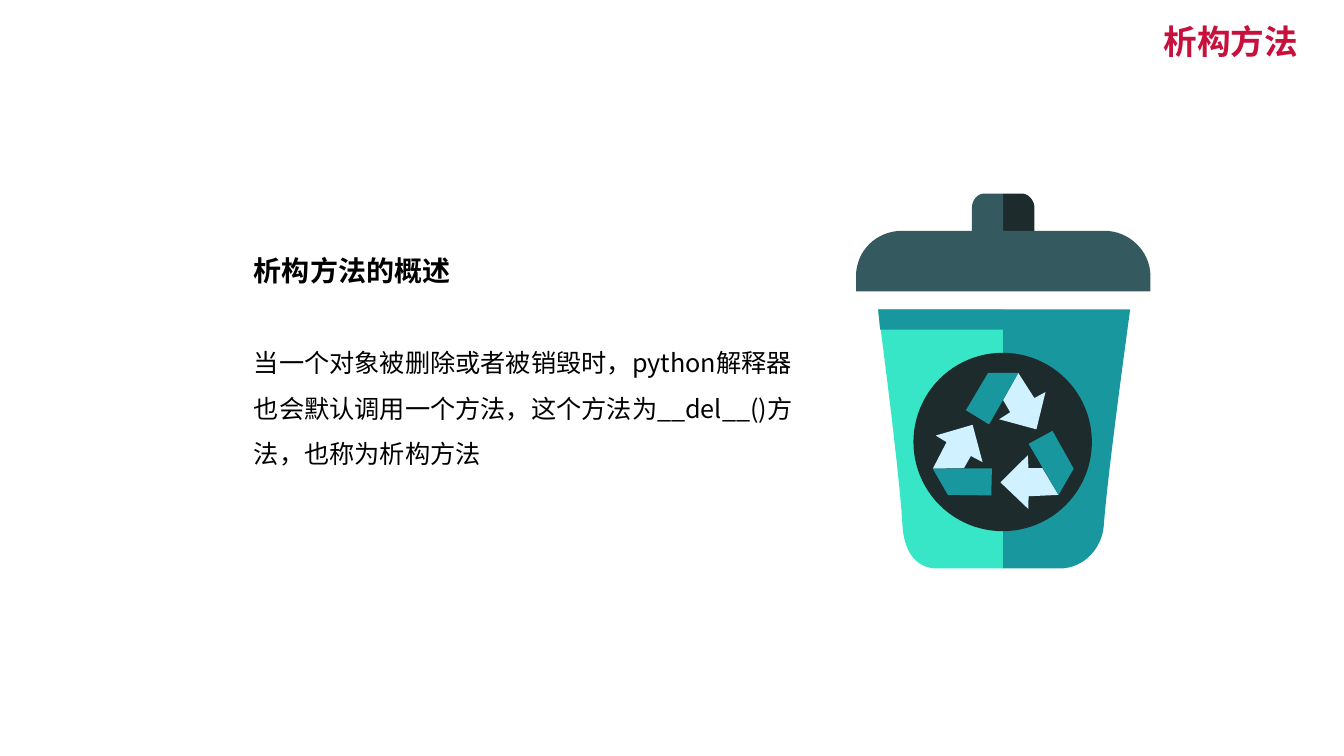
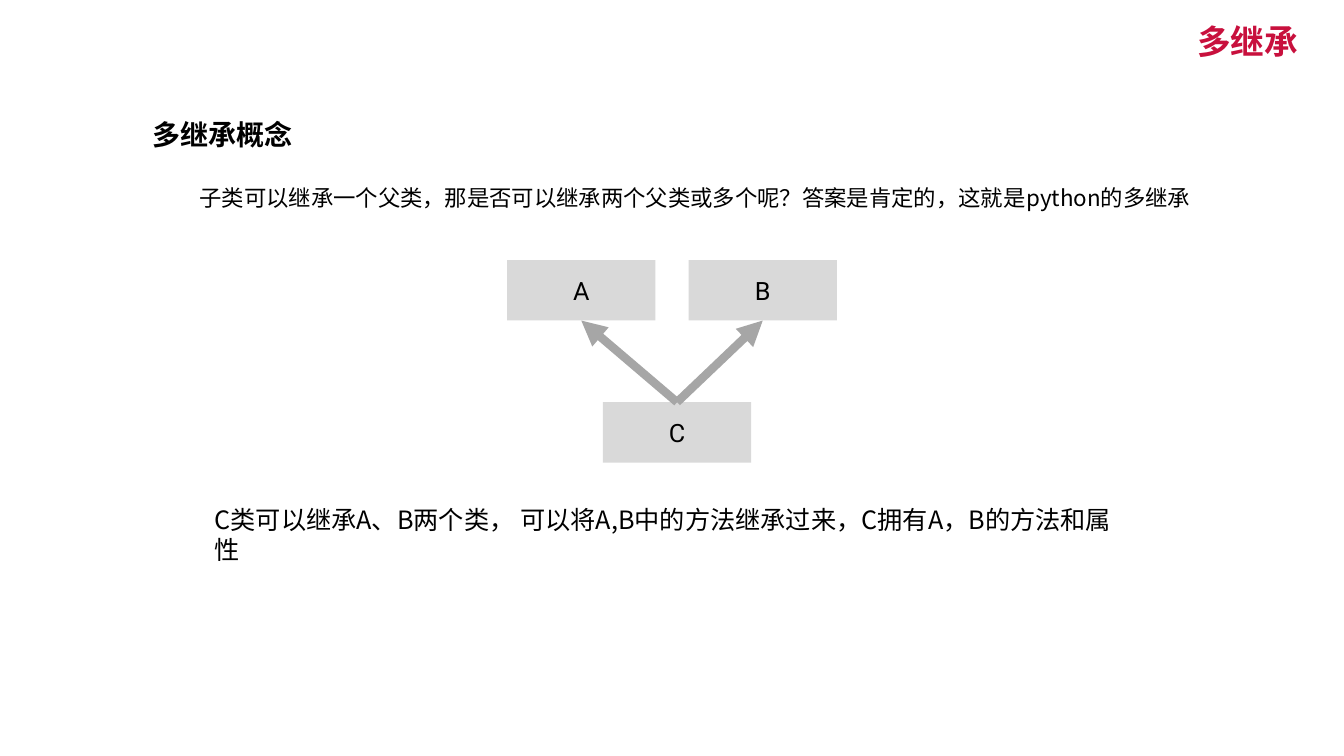
import math
import pptx
import pptx.util
import pptx.dml.color
import pptx.oxml
import pptx.oxml.ns
import pptx.enum.text
import pptx.enum.shapes
import lxml.etree

ALIGN = pptx.enum.text.PP_ALIGN
ANCHOR = pptx.enum.text.MSO_ANCHOR
SHAPE = pptx.enum.shapes.MSO_SHAPE
INCH = pptx.util.Inches
W, H = 13.33, 7.5

# Shared look
RED, BLACK, GREY, ARROW_GREY = "C8103D", "000000", "D9D9D9", "A6A6A6"
MINT, TEAL, SLATE, DARK, PALE = "36E6C6", "18979E", "345A5F", "1E2B2D", "D0F1FF"
CJK, LATIN = "Noto Sans CJK SC", "Roboto"
TITLE_BOX = (W / 2, 0.2, 6.31, 0.41)
TITLE = dict(size=24, bold=True, color=RED, align=ALIGN.RIGHT, line_spacing=0.9)
HEADING = dict(size=20, bold=True, line_spacing=0.9)
LABEL = dict(size=18, name=LATIN, align=ALIGN.CENTER, anchor=ANCHOR.MIDDLE)

# Content: title, then (box, text, format)
SLIDES = [
    ("析构方法", [
        ((2.42, 2.5, 2.38, 0.56), "析构方法的概述", HEADING),
        ((2.42, 3.25, 5.68, 1.66),
         "当一个对象被删除或者被销毁时，python解释器也会默认调用一个方法，"
         "这个方法为__del__()方法，也称为析构方法",
         dict(size=18, line_spacing=1.5)),
    ]),
    ("多继承", [
        ((1.41, 1.15, 2.24, 0.56), "多继承概念", HEADING),
        ((1.88, 1.81, 10.05, 0.5),
         "子类可以继承一个父类，那是否可以继承两个父类或多个呢？"
         "答案是肯定的，这就是python的多继承",
         dict(size=16, line_spacing=0.9)),
        ((2.03, 4.95, 9.27, 0.4),
         "C类可以继承A、B两个类， 可以将A,B中的方法继承过来，C拥有A，B的方法和属性",
         dict(size=18)),
    ]),
]

# Class boxes by top-left corner, and links from child to parent
CLASS_SIZE = (1.47, 0.6)
CLASSES = {"A": (5.03, 2.58), "B": (6.83, 2.58), "C": (5.98, 3.99)}
LINKS = [("C", "A"), ("C", "B")]

# Bin outlines: a pair is a corner, six numbers are a Bezier curve
BIN = [
    (MINT, [(8.71, 3.07), (8.71, 3.07, 8.92, 4.66, 8.95, 5.19),
            (8.96, 5.44, 9.06, 5.64, 9.3, 5.64), (9.95, 5.64), (9.95, 3.07)]),
    (DARK, [(10.26, 2.65), (10.26, 2.06), (10.26, 1.99, 10.2, 1.92, 10.13, 1.92),
            (9.95, 1.92), (9.95, 2.65)]),
    (SLATE, [(10.95, 2.29), (9.95, 2.29), (9.95, 1.92), (9.77, 1.92),
             (9.69, 1.92, 9.64, 1.99, 9.64, 2.06), (9.64, 2.29), (8.95, 2.29),
             (8.69, 2.29, 8.49, 2.49, 8.49, 2.74), (8.49, 2.89), (11.41, 2.89),
             (11.41, 2.74), (11.41, 2.49, 11.2, 2.29, 10.95, 2.29)]),
    (TEAL, [(9.95, 3.07), (8.71, 3.07), (8.73, 3.27), (9.95, 3.27), (9.95, 5.64),
            (10.51, 5.64), (10.75, 5.64, 10.94, 5.44, 10.95, 5.19),
            (10.99, 4.66, 11.21, 3.07, 11.21, 3.07)]),
]
BADGE = (9.06, 3.5, 1.77, 1.77)
# One recycling arrow, turned three times about its centre
ARROW_CENTRE = (9.95, 4.42)
ARROW = [
    (PALE, [(10.26, 3.95), (10.1, 3.7), (9.95, 3.97), (10.02, 4.09),
            (9.91, 4.16), (10.28, 4.26), (10.37, 3.89)]),
    (TEAL, [(9.58, 4.07), (9.81, 4.21), (10.1, 3.7), (9.8, 3.7)]),
]


def rgb(value):
    return pptx.dml.color.RGBColor.from_string(value)


def place(shape, box):
    for side, length in zip(("left", "top", "width", "height"), box):
        setattr(shape, side, INCH(length))


def write(shape, text, fmt):
    fmt = dict(dict(name=CJK, color=BLACK, bold=False, align=ALIGN.LEFT,
                    anchor=ANCHOR.TOP, line_spacing=1.0), **fmt)
    tf = shape.text_frame
    tf.word_wrap = True
    tf.auto_size = pptx.enum.text.MSO_AUTO_SIZE.NONE
    tf.vertical_anchor = fmt["anchor"]
    p = tf.paragraphs[0]
    p.alignment, p.line_spacing = fmt["align"], fmt["line_spacing"]
    r = p.add_run()
    r.text = text
    r.font.color.rgb = rgb(fmt["color"])
    for key, value in dict(size=pptx.util.Pt(fmt["size"]), bold=fmt["bold"],
                           name=fmt["name"]).items():
        setattr(r.font, key, value)
    ea = pptx.oxml.ns.qn("a:ea")
    r.font._element.find(pptx.oxml.ns.qn("a:latin")).addnext(
        r.font._element.makeelement(ea, {"typeface": fmt["name"]}))


def paint(shape, color):
    shape.shadow.inherit = False
    shape.fill.solid()
    shape.fill.fore_color.rgb = rgb(color)
    shape.line.fill.background()


def add_block(shapes, kind, box, color):
    shape = shapes.add_shape(kind, *map(INCH, box))
    paint(shape, color)
    return shape


def flatten(outline, steps=16):
    """Turn corners and Bezier curves into a list of points."""
    points = []
    for part in outline:
        if len(part) == 2:
            points.append(part)
            continue
        knots = [points[-1], part[:2], part[2:4], part[4:]]
        for i in range(1, steps + 1):
            t = i / steps
            weights = [math.comb(3, k) * t ** k * (1 - t) ** (3 - k) for k in range(4)]
            points.append(tuple(sum(w * knot[axis] for w, knot in zip(weights, knots))
                                for axis in (0, 1)))
    return points


def turn(points, degrees):
    cx, cy = ARROW_CENTRE
    c, n = math.cos(math.radians(degrees)), math.sin(math.radians(degrees))
    return [(cx + (x - cx) * c - (y - cy) * n, cy + (x - cx) * n + (y - cy) * c)
            for x, y in points]


def add_outline(shapes, points, color):
    start, *rest = [(INCH(x), INCH(y)) for x, y in points]
    builder = shapes.build_freeform(*start)
    builder.add_line_segments(rest, close=True)
    paint(builder.convert_to_shape(), color)


def draw_bin(s):
    shapes = s.shapes.add_group_shape().shapes
    for color, outline in BIN:
        add_outline(shapes, flatten(outline), color)
    add_block(shapes, SHAPE.OVAL, BADGE, DARK)
    for degrees in (0, 120, 240):
        for color, points in ARROW:
            add_outline(shapes, turn(points, degrees), color)


def draw_classes(s):
    shapes = s.shapes.add_group_shape().shapes
    width, height = CLASS_SIZE
    boxes = {}
    for name, corner in CLASSES.items():
        boxes[name] = add_block(shapes, SHAPE.RECTANGLE, corner + CLASS_SIZE, GREY)
        write(boxes[name], name, LABEL)
    for child, parent in LINKS:
        (x1, y1), (x2, y2) = CLASSES[child], CLASSES[parent]
        link = shapes.add_connector(
            pptx.enum.shapes.MSO_CONNECTOR.STRAIGHT,
            *map(INCH, (x1 + width / 2, y1, x2 + width / 2, y2 + height)))
        link.begin_connect(boxes[child], 0)
        link.end_connect(boxes[parent], 2)
        link.line.color.rgb = rgb(ARROW_GREY)
        link.line.width = pptx.util.Pt(6)
        qn = pptx.oxml.ns.qn
        lxml.etree.SubElement(link.line._get_or_add_ln(), qn("a:tailEnd"), type="triangle")
        lxml.etree.SubElement(link._element.spPr, qn("a:effectLst"))


def main():
    prs = pptx.Presentation()
    prs.slide_width, prs.slide_height = INCH(W), INCH(H)
    for (title, texts), draw in zip(SLIDES, (draw_bin, draw_classes)):
        s = prs.slides.add_slide(prs.slide_layouts[5])
        place(s.shapes.title, TITLE_BOX)
        write(s.shapes.title, title, TITLE)
        for box, text, fmt in texts:
            write(s.shapes.add_textbox(*map(INCH, box)), text, fmt)
        draw(s)
    prs.save("out.pptx")


if __name__ == "__main__":
    main()
